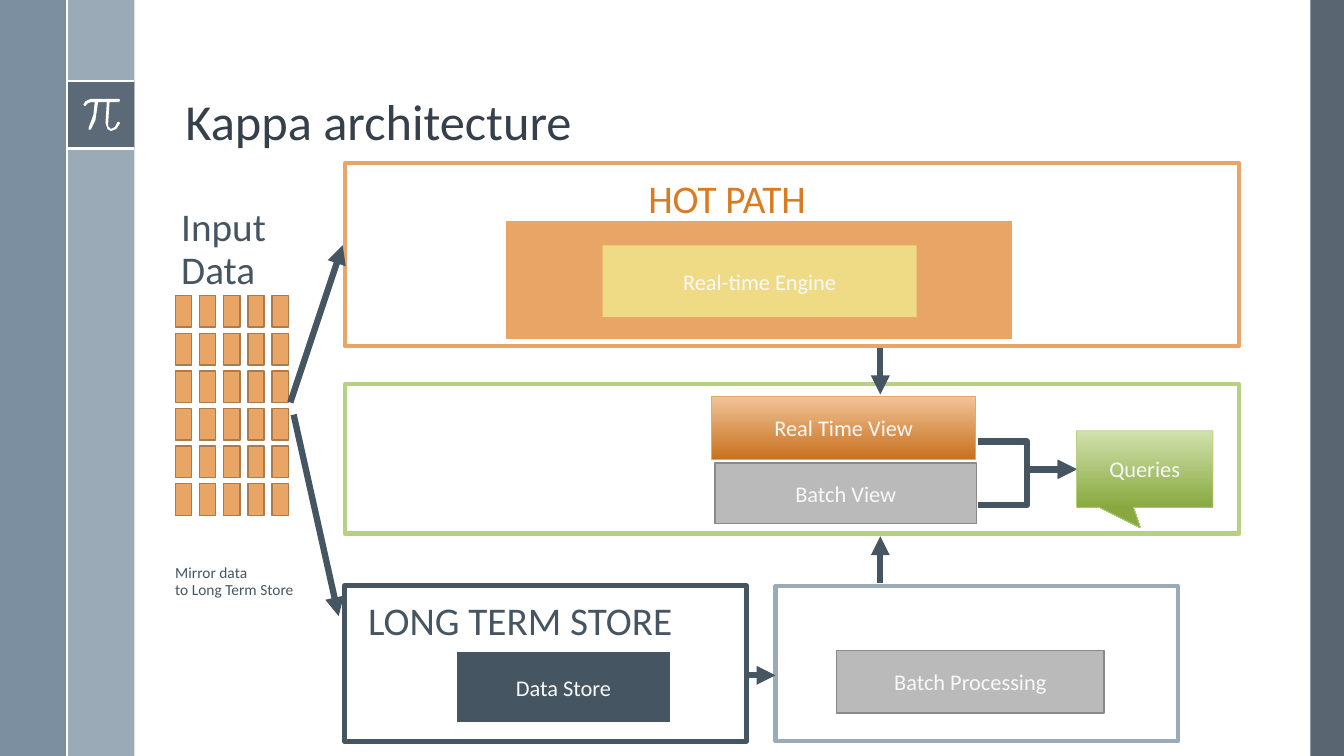
import pptx
import pptx.dml.color
import pptx.enum.shapes
import pptx.enum.text
import pptx.oxml
import pptx.oxml.ns
import pptx.util

RGB = pptx.dml.color.RGBColor
SHAPE = pptx.enum.shapes.MSO_SHAPE
CONNECTOR = pptx.enum.shapes.MSO_CONNECTOR
ANCHOR = pptx.enum.text.MSO_ANCHOR
ALIGN = pptx.enum.text.PP_ALIGN

WHITE = RGB(0xFF, 0xFF, 0xFF)
PALE = RGB(0xF8, 0xF8, 0xF8)
INK = RGB(0x35, 0x40, 0x4A)
SLATE = RGB(0x46, 0x55, 0x62)
EDGE = RGB(0x47, 0x55, 0x62)
STEEL = RGB(0x6A, 0x80, 0x93)
MIST = RGB(0x9B, 0xAA, 0xB7)
ORANGE = RGB(0xE8, 0xA5, 0x65)
BROWN = RGB(0xAC, 0x7A, 0x4B)
RUST = RGB(0xD9, 0x7B, 0x20)
YELLOW = RGB(0xEF, 0xDB, 0x85)
GREEN = RGB(0xB8, 0xD0, 0x82)
SILVER = RGB(0xBA, 0xBA, 0xBA)
GREY = RGB(0x8A, 0x8A, 0x8A)
ORANGE_FADE = (RGB(0xF1, 0xC3, 0x98), RGB(0xC8, 0x71, 0x1E))
GREEN_FADE = (RGB(0xD1, 0xE1, 0xAD), RGB(0x89, 0xA9, 0x40))

# Square grid cells: 20 columns by 11.25 rows
COLUMNS, ROWS = 20, 11.25
CELL = pptx.util.Inches(13.333) / COLUMNS
FONT = "Calibri"

# Outline of the pi sign, in hundredths of a cell
PI_SIGN = [
    (177, 147), (135, 147), (127, 151), (124, 156), (126, 158), (128, 157),
    (130, 154), (135, 152), (141, 152), (139, 171), (132, 190), (132, 193),
    (135, 193), (142, 179), (146, 152), (159, 152), (157, 183), (160, 192),
    (165, 195), (173, 192), (179, 183), (176, 181), (174, 183), (171, 189),
    (165, 192), (161, 188), (161, 183), (163, 152), (177, 152), (179, 149),
]


def cells(*counts):
    return [pptx.util.Emu(round(count * CELL)) for count in counts]


def add_xml(parent, tag, **attributes):
    child = pptx.oxml.parse_xml(f"<a:{tag} {pptx.oxml.ns.nsdecls('a')}/>")
    for name, value in attributes.items():
        child.set(name, str(value))
    parent.append(child)


def format_paragraph(para, size, color, align=ALIGN.LEFT, spacing=None):
    para.alignment = align
    para.line_spacing = spacing
    para.font.name = FONT
    para.font.size = pptx.util.Pt(size)
    para.font.color.rgb = color


def add_box(page, area, fill=None, line=None, width=1, text=None,
            opacity=100, kind=SHAPE.RECTANGLE):
    """Preset shape; a pair of colours as fill makes a vertical gradient."""
    box = page.shapes.add_shape(kind, *cells(*area))
    box.shadow.inherit = False
    if fill is None:
        box.fill.background()
    elif fill in (ORANGE_FADE, GREEN_FADE):
        box.fill.gradient()
        box.fill.gradient_angle = 270
        for stop, color in zip(box.fill.gradient_stops, fill):
            stop.color.rgb = color
    else:
        box.fill.solid()
        box.fill.fore_color.rgb = fill
    if opacity < 100:
        color = box.fill._xPr.find(".//" + pptx.oxml.ns.qn("a:srgbClr"))
        add_xml(color, "alpha", val=opacity * 1000)
    if line is None:
        box.line.fill.background()
    else:
        box.line.color.rgb = line
        box.line.width = pptx.util.Pt(width)
    if text:
        frame = box.text_frame
        frame.margin_left = frame.margin_right = 0
        frame.vertical_anchor = ANCHOR.MIDDLE
        frame.text = text
        format_paragraph(frame.paragraphs[0], 16, PALE, ALIGN.CENTER)
    return box


def add_label(page, area, text, size, color=SLATE):
    frame = page.shapes.add_textbox(*cells(*area)).text_frame
    frame.word_wrap = True
    frame.text = text
    for para in frame.paragraphs:
        format_paragraph(para, size, color, spacing=0.9)


def add_line(page, start, end, color=SLATE, width=4.5, arrow=True,
             kind=CONNECTOR.STRAIGHT):
    line = page.shapes.add_connector(kind, *cells(*start, *end))
    line.line.color.rgb = color
    line.line.width = pptx.util.Pt(width)
    if arrow:
        add_xml(line.line._get_or_add_ln(), "tailEnd", type="triangle")
    add_xml(line._element.spPr, "effectLst")


def add_frame(page):
    """Side bands, the tile with the pi sign and the white rules."""
    add_box(page, (19.5, 0, 0.5, ROWS), EDGE, opacity=90)
    add_box(page, (1, 0, 1, ROWS), MIST)
    add_box(page, (0, 0, 1, ROWS), STEEL, opacity=88)
    add_box(page, (1, 1.21, 1, 1), EDGE, opacity=75)
    for start, end in (((1, 1.21), (2, 1.21)), ((1, 2.21), (2, 2.21)),
                       ((1, 0), (1, ROWS))):
        add_line(page, start, end, WHITE, 1.5, arrow=False)
    builder = page.shapes.build_freeform(*PI_SIGN[0], scale=CELL / 100)
    builder.add_line_segments(PI_SIGN[1:], close=True)
    sign = builder.convert_to_shape()
    sign.shadow.inherit = False
    sign.fill.solid()
    sign.fill.fore_color.rgb = WHITE
    sign.line.fill.background()


def add_title(page, text):
    title = page.shapes.title
    title.left, title.top, title.width, title.height = cells(
        2.61, 0.29, 16.05, 2.04)
    title.text_frame.vertical_anchor = ANCHOR.BOTTOM
    title.text_frame.text = text
    format_paragraph(title.text_frame.paragraphs[0], 36, INK, spacing=0.9)


def add_input_data(page):
    for row in range(6):
        for column in range(5):
            add_box(page, (2.61 + 0.36 * column, 4.4 + 0.56 * row, 0.24, 0.47),
                    ORANGE, BROWN)
    add_label(page, (2.55, 3.02, 1.82, 1.43), "Input\nData", 28)
    add_label(page, (2.46, 8.34, 2.51, 0.65),
              "Mirror data\nto Long Term Store", 11)


def add_hot_path(page):
    add_box(page, (5.13, 2.43, 13.31, 2.72), line=ORANGE, width=3)
    add_label(page, (9.5, 2.6, 3.02, 0.8), "HOT PATH", 28, RUST)
    add_box(page, (7.52, 3.27, 7.56, 1.79), ORANGE, WHITE, 1.5)
    add_box(page, (8.97, 3.65, 4.67, 1.07), YELLOW, text="Real-time Engine")


def add_views(page):
    add_box(page, (5.13, 5.72, 13.31, 2.22), line=GREEN, width=3)
    add_box(page, (10.59, 5.9, 3.93, 0.93), ORANGE_FADE, ORANGE, 0.5,
            "Real Time View")
    add_box(page, (10.64, 6.89, 3.89, 0.9), SILVER, GREY, text="Batch View")
    queries = add_box(page, (16.02, 6.41, 2.03, 1.14), GREEN_FADE, GREEN, 0.5,
                      "Queries", kind=SHAPE.RECTANGULAR_CALLOUT)
    queries.adjustments[0] = -0.03
    queries.adjustments[1] = 0.77


def add_stores(page):
    add_box(page, (5.12, 8.72, 5.99, 2.31), line=SLATE, width=3.5)
    add_label(page, (5.33, 8.88, 5.54, 0.8), "LONG TERM STORE", 28)
    add_box(page, (6.78, 9.69, 3.21, 1.07), SLATE, WHITE, 1.5, "Data Store")
    add_box(page, (11.54, 8.72, 5.99, 2.31), line=MIST, width=3)
    add_box(page, (12.45, 9.68, 3.98, 0.93), SILVER, GREY,
            text="Batch Processing")


def add_flows(page):
    # Views to queries
    for start, end in (((14.55, 6.57), (16.02, 6.99)),
                       ((14.55, 7.52), (16.02, 6.98))):
        add_line(page, start, end, kind=CONNECTOR.ELBOW)
    # Input to both paths, paths to views, store to batch processing
    for start, end in (((4.32, 5.99), (5.1, 3.65)),
                       ((4.37, 6.17), (5.04, 9.17)),
                       ((13.1, 5.18), (13.1, 5.87)),
                       ((13.1, 8.67), (13.1, 7.98)),
                       ((11.13, 10.05), (11.54, 10.05))):
        add_line(page, start, end)


def main():
    deck = pptx.Presentation()
    deck.slide_width, deck.slide_height = cells(COLUMNS, ROWS)
    page = deck.slides.add_slide(deck.slide_layouts.get_by_name("Title Only"))
    add_frame(page)
    add_title(page, "Kappa architecture")
    add_input_data(page)
    add_hot_path(page)
    add_views(page)
    add_stores(page)
    add_flows(page)
    deck.save("out.pptx")


if __name__ == "__main__":
    main()
